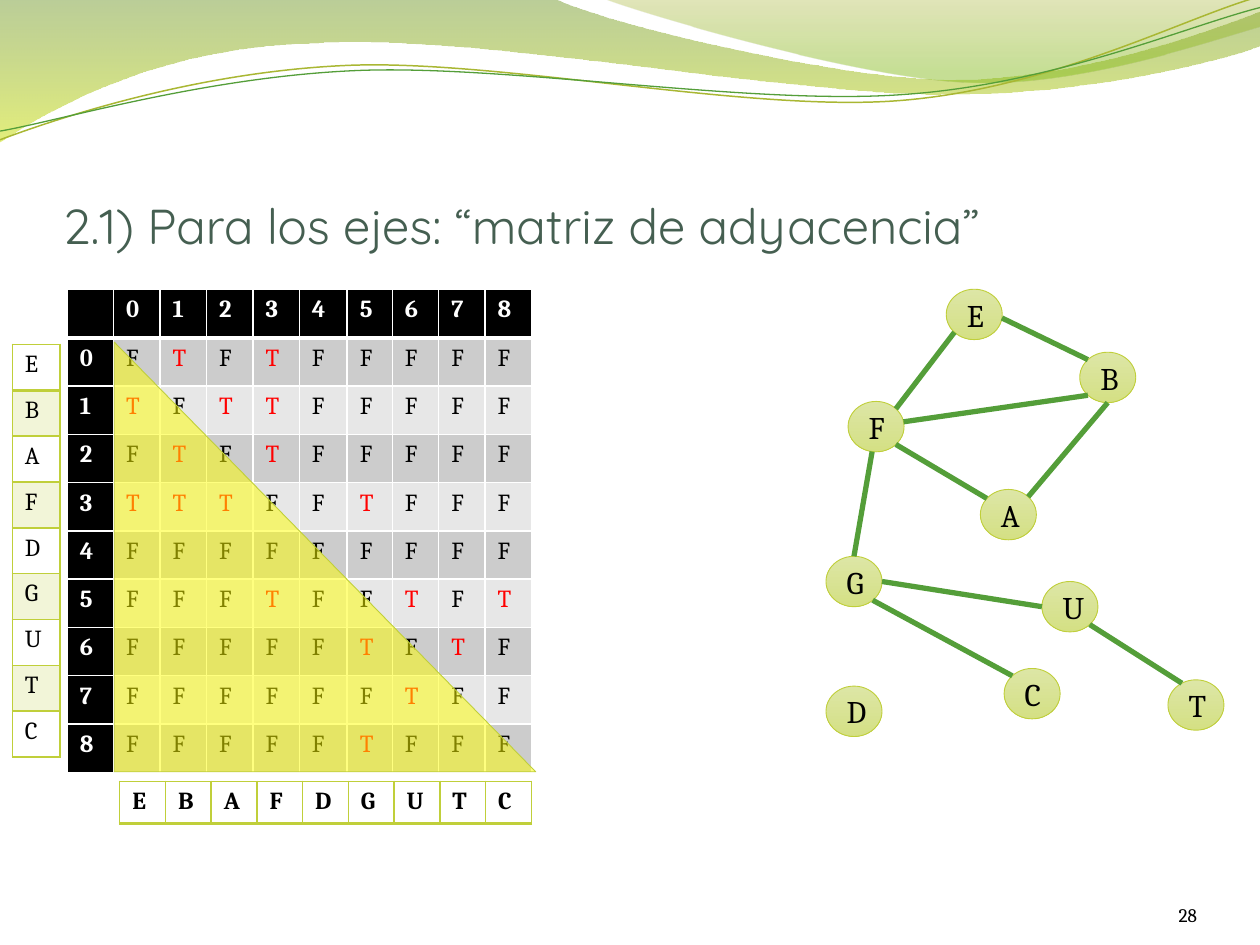
from math import cos, radians, sin

from lxml import etree
from pptx import Presentation
from pptx.dml.color import RGBColor
from pptx.enum.shapes import MSO_CONNECTOR, MSO_SHAPE
from pptx.enum.text import MSO_ANCHOR, PP_ALIGN
from pptx.oxml.ns import qn
from pptx.util import Pt

LEFT, CENTER, RIGHT = PP_ALIGN.LEFT, PP_ALIGN.CENTER, PP_ALIGN.RIGHT
BOTTOM, MIDDLE = MSO_ANCHOR.BOTTOM, MSO_ANCHOR.MIDDLE
OVAL, RIGHT_TRIANGLE = MSO_SHAPE.OVAL, MSO_SHAPE.RIGHT_TRIANGLE
STRAIGHT = MSO_CONNECTOR.STRAIGHT

BLACK, WHITE, RED = "000000", "FFFFFF", "FF0000"
LIME, GREEN = "C0CF3A", "549E39"
LABELS = "EBAFDGUTC"
NODE_W, NODE_H = 32, 28.8

# Node corners relative to the graph's box
NODES = {
    "C": (101.8, 217.3), "A": (88.2, 115), "B": (145, 36.6),
    "T": (195.4, 223.8), "U": (123.4, 167.6), "E": (68.7, 0.6),
    "F": (12.6, 64.7), "G": (0, 153.2), "D": (0, 227.4),
}
# Two nodes, each with the angle at which the edge leaves it
EDGES = [
    ("A", 45, "B", 270), ("F", 11, "B", 225), ("F", 45, "E", 225),
    ("A", 140, "F", 315), ("B", 135, "E", 352), ("T", 120, "U", 315),
    ("G", 90, "F", 262), ("C", 135, "G", 312), ("U", 180, "G", 0),
]

# Each step is one point (line) or three points (Bezier curve)
BANDS = [
    ((0, 0), [
        [(316.8, -0.7)],
        [(342, 12.2), (477.4, 45.4), (545.8, 45.4)],
        [(613.4, 45.4), (689.8, 18.7), (720, 6.5)],
        [(720.7, 25.9)],
        [(707.8, 31.7), (625.7, 54.7), (537.1, 54)],
        [(447.8, 54), (274.3, 20.2), (185, 24.5)],
        [(92.9, 25.9), (33.1, 59.8), (-0.7, 81.4)],
    ], [(0, "69921C", 45), (1, "CCE10F", 55)]),
    ((344.9, -0.7), [
        [(366.5, 7.9), (491, 44.6), (553, 46.8)],
        [(615.6, 49.7), (691.9, 23), (720, 15.1)],
        [(720, 0)],
    ], [(0, "9BAA1A", 30), (0.8, "81BA16", 45)]),
]
STRANDS = [
    ((0, 79.9), [
        [(34.6, 67), (113, 41), (198.7, 37.4)],
        [(284.4, 33.8), (426.2, 64.1), (512.6, 57.6)],
        [(599.8, 51.1), (675.4, 10.8), (717.8, -1.4)],
    ], "A9B733", 0.85),
    ((0, 74.9), [
        [(33.8, 69.1), (117.4, 43.9), (203.8, 40.3)],
        [(289.4, 36.7), (429.8, 60.5), (516.2, 54)],
        [(601.9, 48.2), (677.5, 15.1), (720, 4.3)],
    ], GREEN, 0.75),
]


def rgb(color):
    return RGBColor.from_string(color)


def write(tf, text, size=14, color=BLACK, bold=False, font="Cambria", align=LEFT):
    p = tf.paragraphs[0]
    p.alignment = align
    r = p.add_run()
    r.text = text
    r.font.name, r.font.size, r.font.bold = font, Pt(size), bold
    r.font.color.rgb = rgb(color)


def add_text(s, box, text, inset_top=0, **style):
    tf = s.shapes.add_textbox(*map(Pt, box)).text_frame
    tf.word_wrap, tf.vertical_anchor = True, BOTTOM
    tf.margin_left = tf.margin_right = tf.margin_bottom = 0
    tf.margin_top = Pt(inset_top)
    write(tf, text, **style)


def set_line(sp, color, width):
    sp.line.color.rgb = rgb(color)
    sp.line.width = Pt(width)


def set_alpha(clr, percent):
    etree.SubElement(clr, qn("a:alpha"), val=str(percent * 1000))


def fill_down(sp, stops):
    """Fill from top to bottom with two stops of position, colour and opacity."""
    sp.fill.gradient()
    sp.fill.gradient_angle = 270
    for stop, (position, color, _) in zip(sp.fill.gradient_stops, stops):
        stop.position, stop.color.rgb = position, rgb(color)
    colors = list(sp.fill._xPr.iter(qn("a:srgbClr")))
    for clr, (_, _, opacity) in zip(colors, stops):
        if opacity < 100:
            set_alpha(clr, opacity)


def add_path(s, start, steps, close):
    """Build an outline, then turn each step of three points into one curve."""
    builder = s.shapes.build_freeform(*(round(v * 100) for v in start), scale=Pt(1) / 100)
    points = [(round(x * 100), round(y * 100)) for step in steps for x, y in step]
    builder.add_line_segments(points, close=close)
    sp = builder.convert_to_shape()
    sp.shadow.inherit = False
    segments = iter(list(sp._element.iter(qn("a:lnTo"))))
    for step in steps:
        group = [next(segments) for _ in step]
        if len(group) == 3:
            curve = etree.Element(qn("a:cubicBezTo"))
            group[0].addprevious(curve)
            for segment in group:
                curve.append(segment[0])
                segment.getparent().remove(segment)
    return sp


def add_waves(s):
    for start, steps, stops in BANDS:
        sp = add_path(s, start, steps, True)
        fill_down(sp, stops)
        sp.line.fill.background()
    for start, steps, color, width in STRANDS:
        sp = add_path(s, start, steps, False)
        sp.fill.background()
        set_line(sp, color, width)


def add_graph(s, left, top):
    def rim(name, angle):
        x, y = NODES[name]
        a = radians(angle)
        return (Pt(left + x + NODE_W / 2 * (1 + cos(a))),
                Pt(top + y + NODE_H / 2 * (1 - sin(a))))

    for name, (x, y) in NODES.items():
        sp = s.shapes.add_shape(OVAL, Pt(left + x), Pt(top + y), Pt(NODE_W), Pt(NODE_H))
        sp.shadow.inherit = False
        fill_down(sp, [(0, "DDE6A6", 100), (1, "D4E084", 100)])
        set_line(sp, LIME, 0.5)
        sp.text_frame.vertical_anchor = MIDDLE
        write(sp.text_frame, name, size=18, align=CENTER)
    for a, angle_a, b, angle_b in EDGES:
        line = s.shapes.add_connector(STRAIGHT, *rim(a, angle_a), *rim(b, angle_b))
        set_line(line, GREEN, 3)
        etree.SubElement(line._element.spPr, qn("a:effectLst"))


def add_grid(s, box, rows, cols):
    table = s.shapes.add_table(rows, cols, *map(Pt, box)).table
    table.first_row = table.horz_banding = False
    for col in table.columns:
        col.width = Pt(box[2] / cols)
    for row in table.rows:
        row.height = Pt(box[3] / rows)
    return table


def set_cell(cell, text, border, fill=None, top=1, bottom=1, **style):
    tc_pr = cell._tc.get_or_add_tcPr()
    for side, width in (("L", 1), ("R", 1), ("T", top), ("B", bottom)):
        ln = etree.SubElement(tc_pr, qn(f"a:ln{side}"), w=str(Pt(width)))
        solid = etree.SubElement(ln, qn("a:solidFill"))
        etree.SubElement(solid, qn("a:srgbClr"), val=border)
    if fill:
        cell.fill.solid()
        cell.fill.fore_color.rgb = rgb(fill)
    else:
        cell.fill.background()
    if text:
        write(cell.text_frame, text, **style)
    else:
        cell.margin_top = cell.margin_bottom = 0


def add_row_labels(s, box):
    table = add_grid(s, box, len(LABELS), 1)
    for i, name in enumerate(LABELS):
        set_cell(table.cell(i, 0), name, LIME, "F2F5D8" if i % 2 else None,
                 top=2 if i == 1 else 1, bottom=2 if i == 0 else 1)


def add_column_labels(s, box):
    table = add_grid(s, box, 1, len(LABELS))
    for i, name in enumerate(LABELS):
        set_cell(table.cell(0, i), name, LIME, bottom=2, bold=True)


def add_matrix(s, box):
    size = len(LABELS) + 1
    table = add_grid(s, box, size, size)
    table.columns[5].width += Pt(0.8)
    table.columns[6].width -= Pt(0.8)
    joined = {frozenset((a, b)) for a, _, b, _ in EDGES}
    for i in range(size):
        rule = {"top": 3 if i == 1 else 1, "bottom": 3 if i == 0 else 1}
        for j in range(size):
            cell = table.cell(i, j)
            if i == 0 or j == 0:
                text = str(i + j - 1) if i + j else ""
                set_cell(cell, text, WHITE, BLACK, color=WHITE, bold=True, **rule)
            else:
                edge = {LABELS[i - 1], LABELS[j - 1]} in joined
                set_cell(cell, "T" if edge else "F", WHITE, "CCCCCC" if i % 2 else "E7E7E7",
                         color=RED if edge else BLACK, **rule)


def add_lower_half(s, box):
    sp = s.shapes.add_shape(RIGHT_TRIANGLE, *map(Pt, box))
    sp.shadow.inherit = False
    sp.fill.solid()
    sp.fill.fore_color.rgb = rgb("FFFF00")
    set_alpha(next(sp.fill._xPr.iter(qn("a:srgbClr"))), 50)
    set_line(sp, LIME, 0.5)


def main():
    prs = Presentation()
    prs.slide_width, prs.slide_height = Pt(720), Pt(540)
    s = prs.slides.add_slide(prs.slide_layouts[6])
    add_waves(s)
    add_text(s, (36, 55.4, 648, 90), "2.1) Para los ejes: “matriz de adyacencia”",
             inset_top=3.6, size=28, color="455F51", font="Quicksand")
    add_text(s, (624, 500.4, 60, 28.8), "28", size=11, align=RIGHT)
    add_graph(s, 472, 164.7)
    add_row_labels(s, (7, 196.8, 27.4, 235.8))
    add_column_labels(s, (68.4, 446.5, 235.4, 23.4))
    add_matrix(s, (38.4, 165.5, 265.6, 276))
    add_lower_half(s, (65.3, 195.5, 240.8, 245.5))
    prs.save("out.pptx")


if __name__ == "__main__":
    main()
